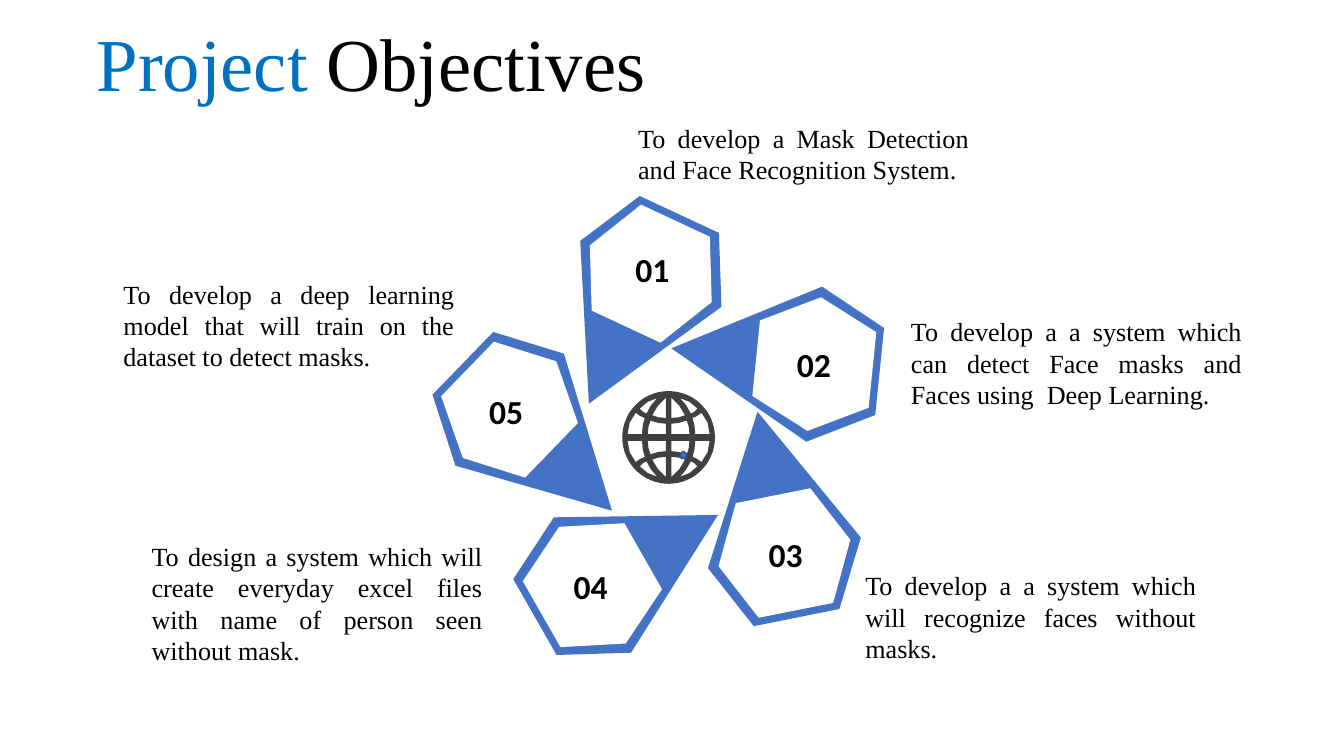
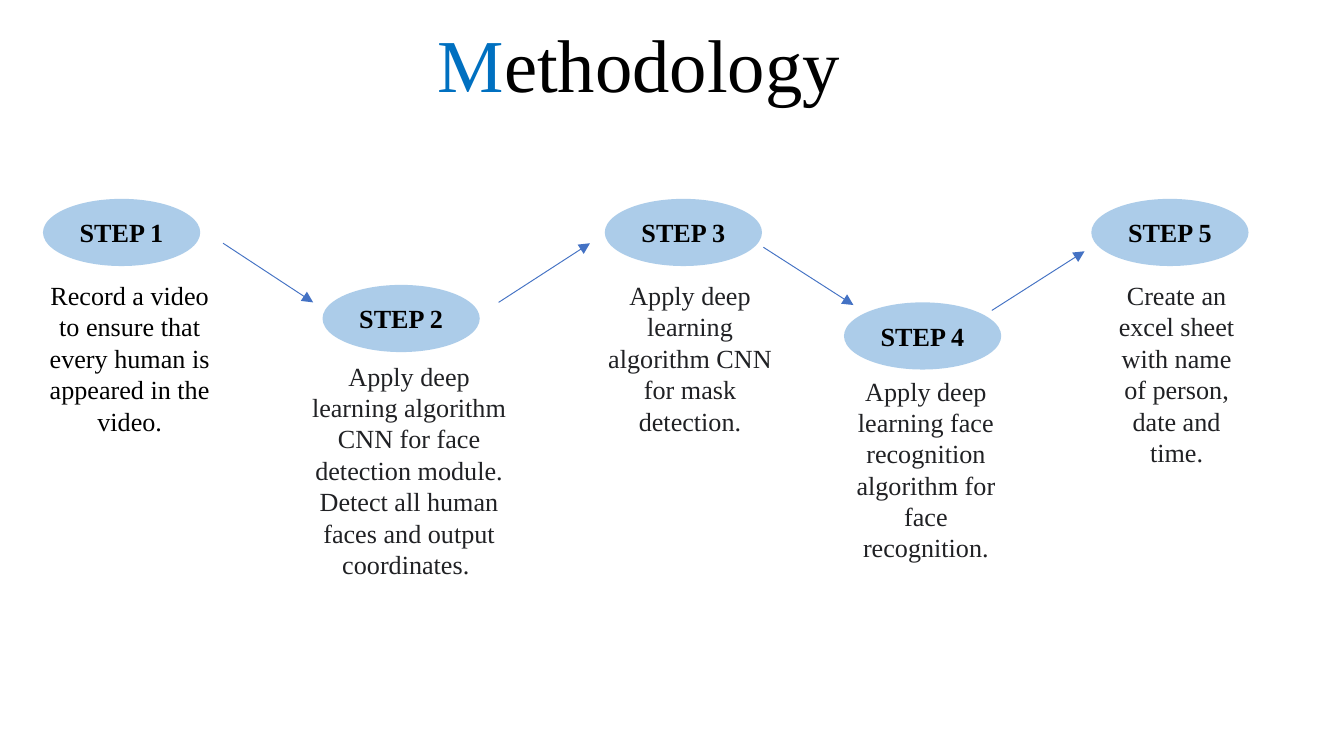
"""Build two slides: project objectives around a globe, and the five method steps."""
import math
from dataclasses import dataclass

from lxml import etree
from pptx import Presentation
from pptx.dml.color import RGBColor
from pptx.enum import shapes, text as text_enum
from pptx.oxml.ns import qn
from pptx.util import Pt

PX = 9144
SLIDE_WIDTH = 1000
SLIDE_HEIGHT = SLIDE_WIDTH * 9 / 16


@dataclass(frozen=True)
class Theme:
    accent: str = "0070C0"
    black: str = "000000"
    soft_black: str = "202124"
    white: str = "FFFFFF"
    petal: str = "4472C4"
    globe: str = "404040"
    step: str = "5B9BD5"
    edge: str = "325491"
    serif: str = "Times New Roman"
    sans: str = "Calibri"
    title: int = 40
    number: int = 18
    body: int = 14


THEME = Theme()
ALIGN = text_enum.PP_ALIGN
SHAPE = shapes.MSO_SHAPE

OBJECTIVES = [
    dict(number="01", petal=(414, 152), angle=205, label=(463, 180), box=(465, 86, 266, 57),
         text="To develop a Mask Detection and Face Recognition System."),
    dict(number="02", petal=(519, 190), angle=275.8, label=(583, 251), box=(668, 230, 266, 81),
         text="To develop a a system which can detect Face masks and Faces using  Deep Learning."),
    dict(number="03", petal=(520, 305), angle=348.7, label=(562, 392), box=(634, 419, 266, 81),
         text="To develop a a system which will recognize faces without masks."),
    dict(number="04", petal=(408, 343), angle=60.3, label=(417, 416), box=(103, 397, 266, 104),
         text="To design a system which will create everyday excel files "
              "with name of person seen without mask."),
    dict(number="05", petal=(342, 247), angle=134.1, label=(354, 286), box=(82, 202, 266, 81),
         text="To develop a deep learning model that will train on the dataset to detect masks."),
]
STEPS = [
    dict(oval=(32, 148), box=(22, 203, 149, 128), color=THEME.black,
         text="Record a video to ensure that every human is appeared in the video."),
    dict(oval=(240, 212), box=(221, 263, 167, 205), color=THEME.soft_black,
         text="Apply deep learning algorithm CNN for face detection module. "
              "Detect all human faces and output coordinates. "),
    dict(oval=(450, 148), box=(433, 203, 161, 158), color=THEME.soft_black,
         text="Apply deep learning algorithm CNN for mask detection."),
    dict(oval=(628, 225), box=(622, 274, 134, 175), color=THEME.soft_black,
         text="Apply deep learning face recognition algorithm for face recognition."),
    dict(oval=(812, 148), box=(817, 203, 117, 150), color=THEME.soft_black,
         text="Create an excel sheet with name of person, date and time."),
]
ARROWS = [(166, 181, 233, 225), (371, 225, 439, 181), (568, 184, 635, 227), (738, 231, 807, 187)]

PETAL_SIZE = (116, 156)
PETAL_OUTLINE = [(90, 156), (25, 156), (0, 107), (59, 0), (116, 107)]
HEXAGON_SIZE = (100, 87)
HEXAGON_OFFSET = 29
LABEL_SIZE = (68, 40)
OVAL_SIZE = (117, 50)

GLOBE_SCALE = PX / 10
GLOBE_CENTER = (4975, 3255)
GLOBE_RADIUS = 345
GLOBE_CELLS = [
    [(20, 145), (20, 295), (80, 235), (122, 165), (75, 150)],
    [(20, 25), (20, 102), (75, 108), (135, 125), (150, 80), (155, 25)],
    [(198, 25), (193, 85), (178, 145), (212, 160), (245, 183), (290, 110), (305, 25)],
    [(165, 178), (130, 240), (85, 292), (155, 265), (215, 215), (190, 190)],
]


def emu(*lengths):
    """Turn px into EMU."""
    return [round(length * PX) for length in lengths]


def rgb(color):
    """Read a hex colour."""
    return RGBColor.from_string(color)


def write(shape, text, lead="", size=THEME.body, font=THEME.serif, color=THEME.black,
          bold=False, align=ALIGN.LEFT, spacing=None):
    """Put one formatted paragraph in a shape, with an optional accented lead."""
    frame = shape.text_frame
    frame.word_wrap = True
    paragraph = frame.paragraphs[0]
    paragraph.alignment = align
    paragraph.line_spacing = spacing
    for part, part_color in ((lead, THEME.accent), (text, color)):
        if part:
            run = paragraph.add_run()
            run.text = part
            run.font.size = Pt(size)
            run.font.name = font
            run.font.bold = bold
            run.font.color.rgb = rgb(part_color)


def add_text(slide, box, text, **style):
    """Add a text box."""
    write(slide.shapes.add_textbox(*emu(*box)), text, **style)


def add_title(slide, box, lead, rest):
    """Add the two-colour title."""
    add_text(slide, box, rest, lead=lead, size=THEME.title, spacing=0.9)


def paint(shape, fill):
    """Give a shape a flat fill without line or shadow."""
    shape.shadow.inherit = False
    shape.fill.solid()
    shape.fill.fore_color.rgb = rgb(fill)
    shape.line.fill.background()
    return shape


def add_shape(slide, kind, box, fill):
    """Add a flat preset shape."""
    return paint(slide.shapes.add_shape(kind, *emu(*box)), fill)


def add_outline(slide, contours, origin, scale, fill):
    """Add one freeform made of closed contours."""
    builder = slide.shapes.build_freeform(*contours[0][0], scale=scale)
    for index, contour in enumerate(contours):
        if index:
            builder.move_to(*contour[0])
        builder.add_line_segments(contour[1:], close=True)
    left, top = (round(value * scale) for value in origin)
    return paint(builder.convert_to_shape(left, top), fill)


def add_petal(slide, corner, angle):
    """Add a rotated petal and the white hexagon inside it."""
    petal = add_outline(slide, [PETAL_OUTLINE], corner, PX, THEME.petal)
    petal.rotation = angle
    turn = math.radians(angle)
    center_x = corner[0] + PETAL_SIZE[0] / 2 - HEXAGON_OFFSET * math.sin(turn)
    center_y = corner[1] + PETAL_SIZE[1] / 2 + HEXAGON_OFFSET * math.cos(turn)
    width, height = HEXAGON_SIZE
    box = (center_x - width / 2, center_y - height / 2, width, height)
    hexagon = add_shape(slide, SHAPE.HEXAGON, box, THEME.white)
    hexagon.rotation = (angle + 180) % 360


def add_globe(slide):
    """Add the globe: a disc with its grid cells mirrored into four quadrants."""
    turns = [math.radians(degree) for degree in range(0, 360, 6)]
    disc = [(round(GLOBE_RADIUS * math.cos(turn)), round(GLOBE_RADIUS * math.sin(turn)))
            for turn in turns]
    cells = [[(x * side, y * level) for x, y in cell]
             for side in (1, -1) for level in (1, -1) for cell in GLOBE_CELLS]
    add_outline(slide, [disc, *cells], GLOBE_CENTER, GLOBE_SCALE, THEME.globe)


def add_arrow(slide, ends):
    """Add a thin arrow."""
    arrow = slide.shapes.add_connector(shapes.MSO_CONNECTOR.STRAIGHT, *emu(*ends))
    arrow.line.color.rgb = rgb(THEME.petal)
    arrow.line.width = Pt(0.5)
    properties = arrow._element.spPr
    etree.SubElement(properties.find(qn("a:ln")), qn("a:tailEnd"), type="triangle")
    etree.SubElement(properties, qn("a:effectLst"))


def add_step(slide, number, step):
    """Add a half-transparent step oval and its description."""
    add_text(slide, step["box"], step["text"], color=step["color"], align=ALIGN.CENTER)
    oval = add_shape(slide, SHAPE.FLOWCHART_CONNECTOR, (*step["oval"], *OVAL_SIZE), THEME.step)
    color = oval._element.spPr.find(qn("a:solidFill"))[0]
    etree.SubElement(color, qn("a:alpha"), val="50000")
    frame = oval.text_frame
    frame.margin_left = frame.margin_right = 0
    frame.vertical_anchor = text_enum.MSO_ANCHOR.MIDDLE
    write(oval, f"STEP {number}", bold=True, align=ALIGN.CENTER)


def build_objectives(slide):
    """Fill the objectives slide."""
    add_title(slide, (62, 15, 451, 81), "Project", " Objectives")
    for objective in OBJECTIVES:
        add_petal(slide, objective["petal"], objective["angle"])
    add_globe(slide)
    dot = add_shape(slide, SHAPE.REGULAR_PENTAGON, (506, 336, 5, 5), THEME.petal)
    dot.line.color.rgb = rgb(THEME.edge)
    dot.line.width = Pt(1)
    for objective in OBJECTIVES:
        add_text(slide, (*objective["label"], *LABEL_SIZE), objective["number"],
                 size=THEME.number, font=THEME.sans, bold=True)
        add_text(slide, objective["box"], objective["text"], align=ALIGN.JUSTIFY)


def build_methodology(slide):
    """Fill the methodology slide."""
    add_title(slide, (316, 16, 367, 84), "M", "ethodology")
    for number, step in enumerate(STEPS, 1):
        add_step(slide, number, step)
    for ends in ARROWS:
        add_arrow(slide, ends)


def main():
    """Build and save the presentation."""
    presentation = Presentation()
    presentation.slide_width, presentation.slide_height = emu(SLIDE_WIDTH, SLIDE_HEIGHT)
    for build in (build_objectives, build_methodology):
        build(presentation.slides.add_slide(presentation.slide_layouts[6]))
    presentation.save("out.pptx")


if __name__ == "__main__":
    main()
